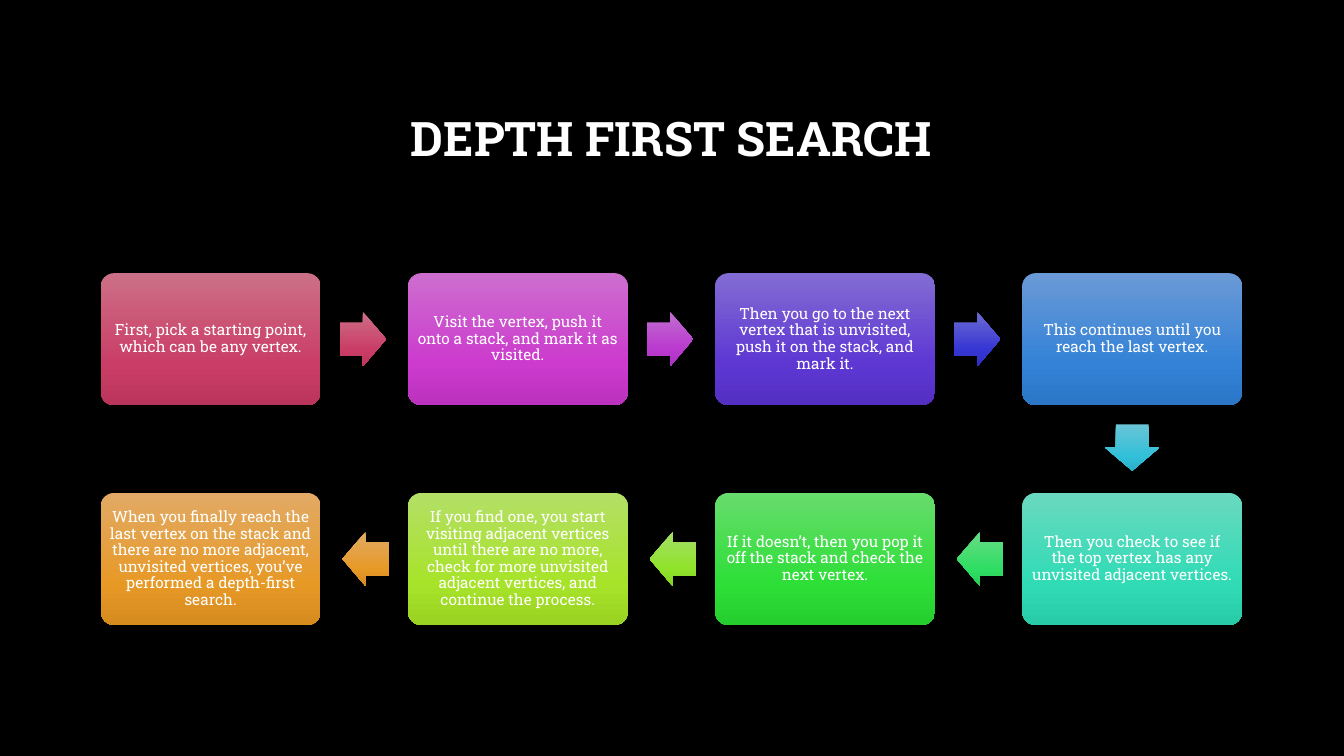
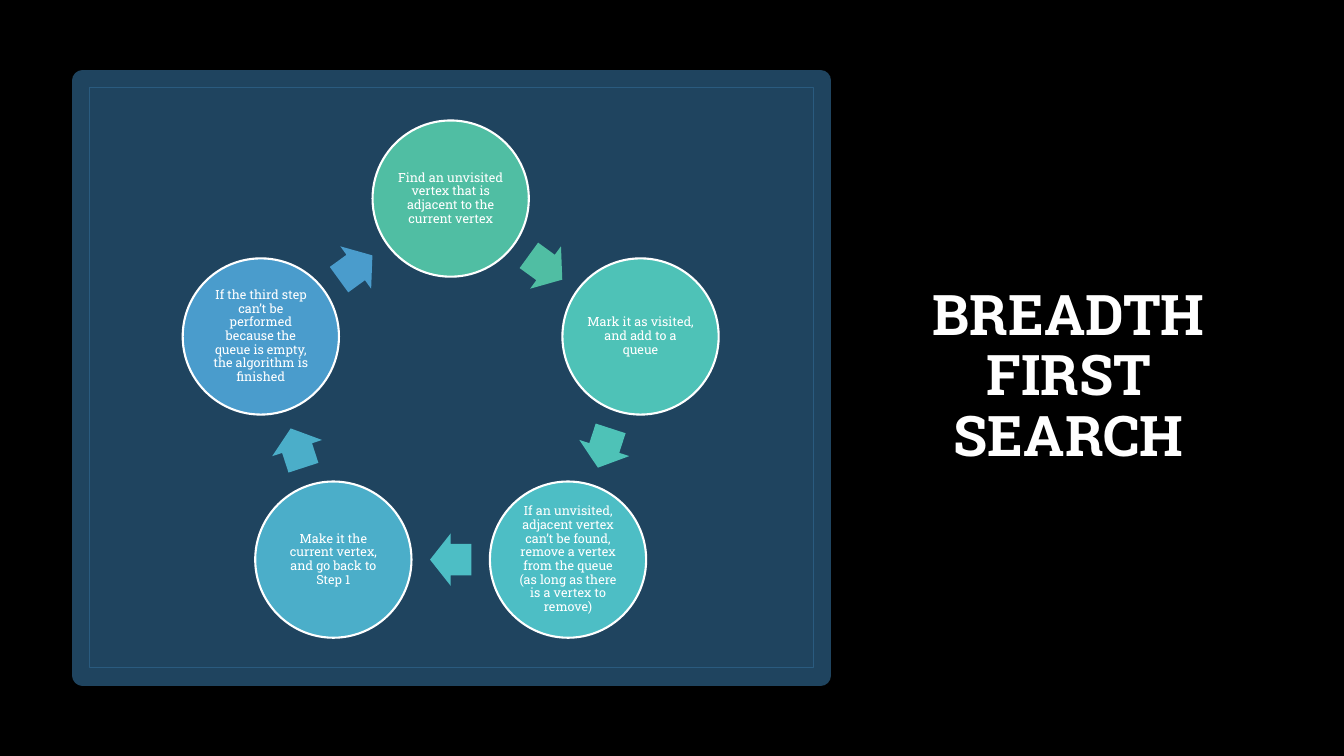
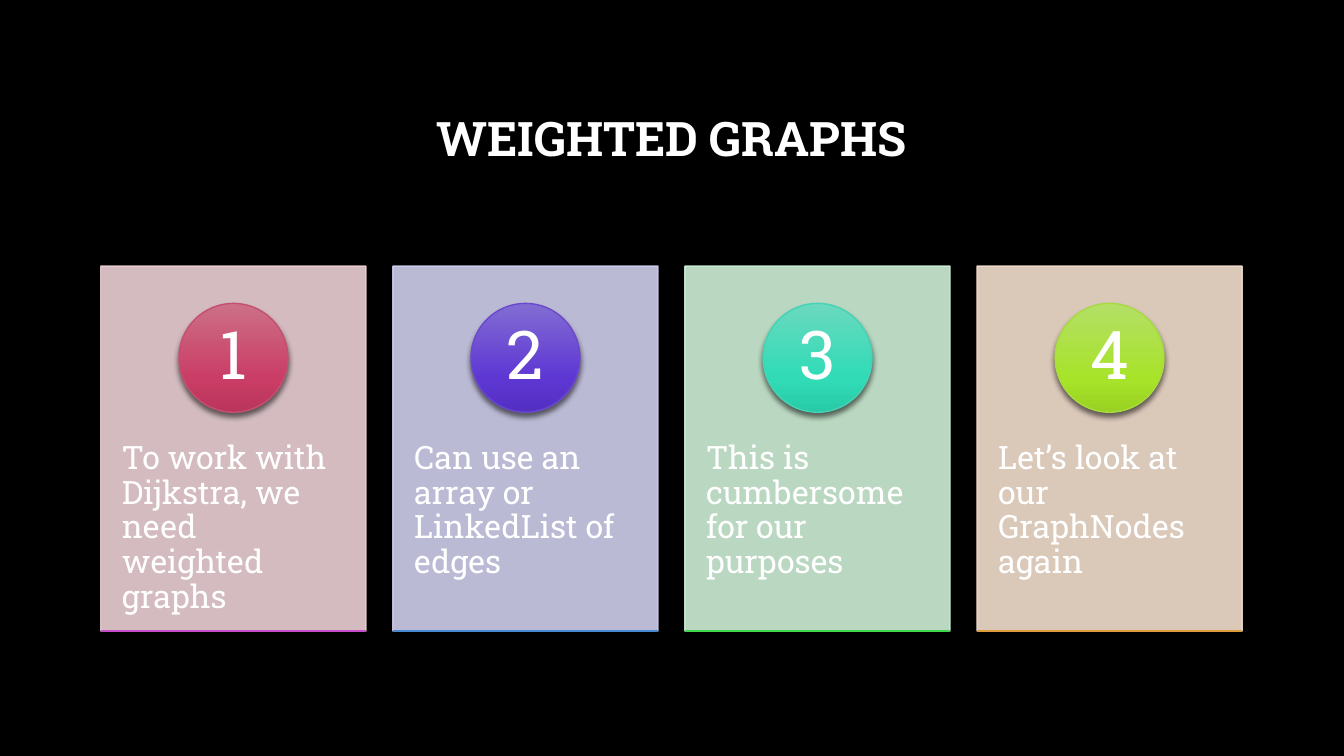
"""Build three slides on graph searches and weighted graphs."""
import math

from lxml import etree
from pptx import Presentation
from pptx.dml.color import RGBColor
from pptx.enum import shapes, text
from pptx.oxml.ns import qn
from pptx.util import Inches, Pt

FONT = "Roboto Slab"
MARGIN, CONTENT_W = 1, 11.32
COLORS = {"back": "000000", "text": "FFFFFF", "panel": "1F445F", "frame": "2A5B7F"}
GRADIENTS = {
    "rose": ("CC7087", "CA3D66", "BA355B"),
    "magenta": ("CD6ECF", "CC3ACE", "BB32BE"),
    "purple": ("C16ED0", "BA39CF", "AB31BF"),
    "violet": ("826CD3", "5E37D3", "532FC2"),
    "indigo": ("6C6CD4", "3636D4", "2E2EC3"),
    "blue": ("6B9AD6", "3382D7", "2B76C6"),
    "cyan": ("6AC5D7", "32BFD9", "2AB0C8"),
    "teal": ("6AD9BF", "30DBB6", "28CAA7"),
    "mint": ("69DB86", "2EDE62", "26CD58"),
    "green": ("68DC6D", "2DDF37", "25CE2E"),
    "grass": ("A4DF67", "90E22A", "83D123"),
    "lime": ("B4DF67", "A7E329", "99D222"),
    "orange": ("E2AA66", "E79926", "D68B1F"),
}
TITLE_TOP = (MARGIN, 0.67, CONTENT_W, 1.45)
TITLE_SIDE = (8.61, 0.69, 3.98, 6.11)

DEPTH_STEPS = [
    ("First, pick a starting point, which can be any vertex.", "rose", "rose"),
    ("Visit the vertex, push it onto a stack, and mark it as visited.", "magenta", "purple"),
    ("Then you go to the next vertex that is unvisited, push it on the stack, and mark it.",
     "violet", "indigo"),
    ("This continues until you reach the last vertex.", "blue", "cyan"),
    ("Then you check to see if the top vertex has any unvisited adjacent vertices.",
     "teal", "mint"),
    ("If it doesn’t, then you pop it off the stack and check the next vertex.",
     "green", "grass"),
    ("If you find one, you start visiting adjacent vertices until there are no more, check "
     "for more unvisited adjacent vertices, and continue the process.", "lime", "orange"),
    ("When you finally reach the last vertex on the stack and there are no more adjacent, "
     "unvisited vertices, you’ve performed a depth-first search.", "orange", None),
]
BREADTH_STEPS = [
    ("Find an unvisited vertex that is adjacent to the current vertex", "50BEA3"),
    ("Mark it as visited, and add to a queue", "4EC2B7"),
    ("If an unvisited, adjacent vertex can’t be found, remove a vertex from the queue "
     "(as long as there is a vertex to remove)", "4DBEC5"),
    ("Make it the current vertex, and go back to Step 1", "4BAEC9"),
    ("If the third step can’t be performed because the queue is empty, the algorithm is "
     "finished", "4A9CCC"),
]
WEIGHTED_CARDS = [
    ("To work with Dijkstra, we need weighted graphs", "EAD0D5", "rose", "C54F71", "C64CC9"),
    ("Can use an array or LinkedList of edges", "D0CFED", "violet", "6A49CC", "4789D0"),
    ("This is cumbersome for our purposes", "CFF0D7", "teal", "44D3B5", "41D74A"),
    ("Let’s look at our GraphNodes again", "F2DECE", "lime", "A8DB3F", "DE9C3C"),
]


def rgb(value):
    return RGBColor.from_string(value)


def write(sp, words, size, insets=None, align=text.PP_ALIGN.CENTER,
          anchor=text.MSO_ANCHOR.MIDDLE, bold=False):
    tf = sp.text_frame
    tf.text = words
    tf.word_wrap = True
    tf.auto_size = text.MSO_AUTO_SIZE.NONE
    tf.vertical_anchor = anchor
    if insets:
        tf.margin_left, tf.margin_top, tf.margin_right, tf.margin_bottom = map(Inches, insets)
    p = tf.paragraphs[0]
    p.alignment, p.line_spacing = align, 0.9
    font = p.runs[0].font
    font.name, font.size, font.bold = FONT, Pt(size), bold
    font.color.rgb = rgb(COLORS["text"])


def add_slide(prs, title, box, size):
    s = prs.slides.add_slide(prs.slide_layouts[5])
    sp = s.shapes.title
    sp.left, sp.top, sp.width, sp.height = map(Inches, box)
    write(sp, title, size, bold=True)
    return s


def add_shape(s, kind, box, fill=None, line=None, width=1, adj=()):
    sp = s.shapes.add_shape(kind, *map(Inches, box))
    sp.shadow.inherit = False
    for i, value in enumerate(adj):
        sp.adjustments[i] = value
    if fill in GRADIENTS:
        fill_gradient(sp, GRADIENTS[fill])
    elif fill:
        sp.fill.solid()
        sp.fill.fore_color.rgb = rgb(fill)
    else:
        sp.fill.background()
    if line:
        sp.line.color.rgb = rgb(line)
        sp.line.width = Pt(width)
    else:
        sp.line.fill.background()
    return sp


def fill_gradient(sp, stops):
    sp.fill.gradient()
    sp.fill.gradient_angle = 270
    stop_list = sp.element.spPr.find(".//" + qn("a:gsLst"))
    for old in list(stop_list):
        stop_list.remove(old)
    for position, color in zip((0, 69, 100), stops):
        stop = etree.SubElement(stop_list, qn("a:gs"), pos=str(position * 1000))
        etree.SubElement(stop, qn("a:srgbClr"), val=color)


def set_alpha(sp, percent):
    for color in sp.element.spPr.iter(qn("a:srgbClr")):
        etree.SubElement(color, qn("a:alpha"), val=str(percent * 1000))


def add_shadow(sp):
    effects = sp.element.spPr.find(qn("a:effectLst"))
    shadow = etree.SubElement(effects, qn("a:outerShdw"), blurRad=str(Pt(4)),
                              dist=str(Pt(3)), dir="5400000", rotWithShape="0")
    color = etree.SubElement(shadow, qn("a:srgbClr"), val="000000")
    etree.SubElement(color, qn("a:alpha"), val="54000")


def build_depth(prs):
    s = add_slide(prs, "DEPTH FIRST SEARCH", TITLE_TOP, 34)
    kinds = shapes.MSO_SHAPE
    columns, top, w, h, row_pitch = 4, 2.71, 2.18, 1.31, 2.18
    pitch = (CONTENT_W - w) / (columns - 1)
    length, breadth = 0.46, 0.54
    for i, (words, fill, arrow_fill) in enumerate(DEPTH_STEPS):
        row, col = divmod(i, columns)
        x = MARGIN + pitch * (columns - 1 - col if row else col)
        y = top + row * row_pitch
        sp = add_shape(s, kinds.ROUNDED_RECTANGLE, (x, y, w, h), fill, adj=[0.1])
        write(sp, words, 11, [0.05] * 4)
        if not arrow_fill:
            continue
        middle = y + (h - breadth) / 2
        if i == columns - 1:
            kind, box = kinds.DOWN_ARROW, (x + (w - breadth) / 2, y + 1.5, breadth, length)
        elif row:
            kind, box = kinds.LEFT_ARROW, (x - 0.65, middle, length, breadth)
        else:
            kind, box = kinds.RIGHT_ARROW, (x + 2.37, middle, length, breadth)
        add_shape(s, kind, box, arrow_fill, adj=(0.6, 0.5))


def build_breadth(prs):
    s = add_slide(prs, "BREADTH FIRST SEARCH", TITLE_SIDE, 40)
    kinds = shapes.MSO_SHAPE
    add_shape(s, kinds.RECTANGLE, (0.82, 0.8, 7.32, 5.9), COLORS["panel"], COLORS["panel"], 15)
    add_shape(s, kinds.RECTANGLE, (0.89, 0.87, 7.18, 5.75), line=COLORS["frame"])
    cx, cy, radius, size = 4.47, 3.95, 1.98, 1.55
    length, breadth = 0.41, 0.52
    turn = 360 / len(BREADTH_STEPS)
    arrow_radius = radius * math.cos(math.radians(turn / 2))

    def centered(distance, degrees, w, h):
        a = math.radians(degrees)
        return cx + distance * math.sin(a) - w / 2, cy - distance * math.cos(a) - h / 2, w, h

    for i, (words, fill) in enumerate(BREADTH_STEPS):
        sp = add_shape(s, kinds.OVAL, centered(radius, i * turn, size, size), fill,
                       COLORS["text"], 1.5)
        write(sp, words, 9, [0.01] * 4)
        heading = (i + 0.5) * turn
        arrow = add_shape(s, kinds.RIGHT_ARROW, centered(arrow_radius, heading, length, breadth),
                          fill, adj=(0.6, 0.5))
        arrow.rotation = heading


def build_weighted(prs):
    s = add_slide(prs, "WEIGHTED GRAPHS", TITLE_TOP, 34)
    kinds = shapes.MSO_SHAPE
    top, w, h, size = 2.64, 2.63, 3.62, 1.08
    pitch = (CONTENT_W - w) / (len(WEIGHTED_CARDS) - 1)
    for i, (words, fill, badge_fill, badge_line, rule) in enumerate(WEIGHTED_CARDS):
        x = MARGIN + i * pitch
        card = add_shape(s, kinds.RECTANGLE, (x, top, w, h), fill, fill)
        set_alpha(card, 90)
        write(card, words, 23, (0.21, 1.74, 0.21, 0.36), text.PP_ALIGN.LEFT,
              text.MSO_ANCHOR.TOP)
        badge = add_shape(s, kinds.OVAL, (x + (w - size) / 2, 3.01, size, size), badge_fill,
                          badge_line)
        add_shadow(badge)
        write(badge, str(i + 1), 48, (0.08, 0.01, 0.08, 0.01))
        base = s.shapes.add_connector(shapes.MSO_CONNECTOR.STRAIGHT, Inches(x),
                                      Inches(top + h), Inches(x + w), Inches(top + h))
        base.line.color.rgb = rgb(rule)
        base.line.width = Pt(1)
        etree.SubElement(base.element.spPr, qn("a:effectLst"))


def main():
    prs = Presentation()
    prs.slide_width, prs.slide_height = Inches(13.33), Inches(7.5)
    back = prs.slide_master.background.fill
    back.solid()
    back.fore_color.rgb = rgb(COLORS["back"])
    build_depth(prs)
    build_breadth(prs)
    build_weighted(prs)
    prs.save("out.pptx")


if __name__ == "__main__":
    main()
